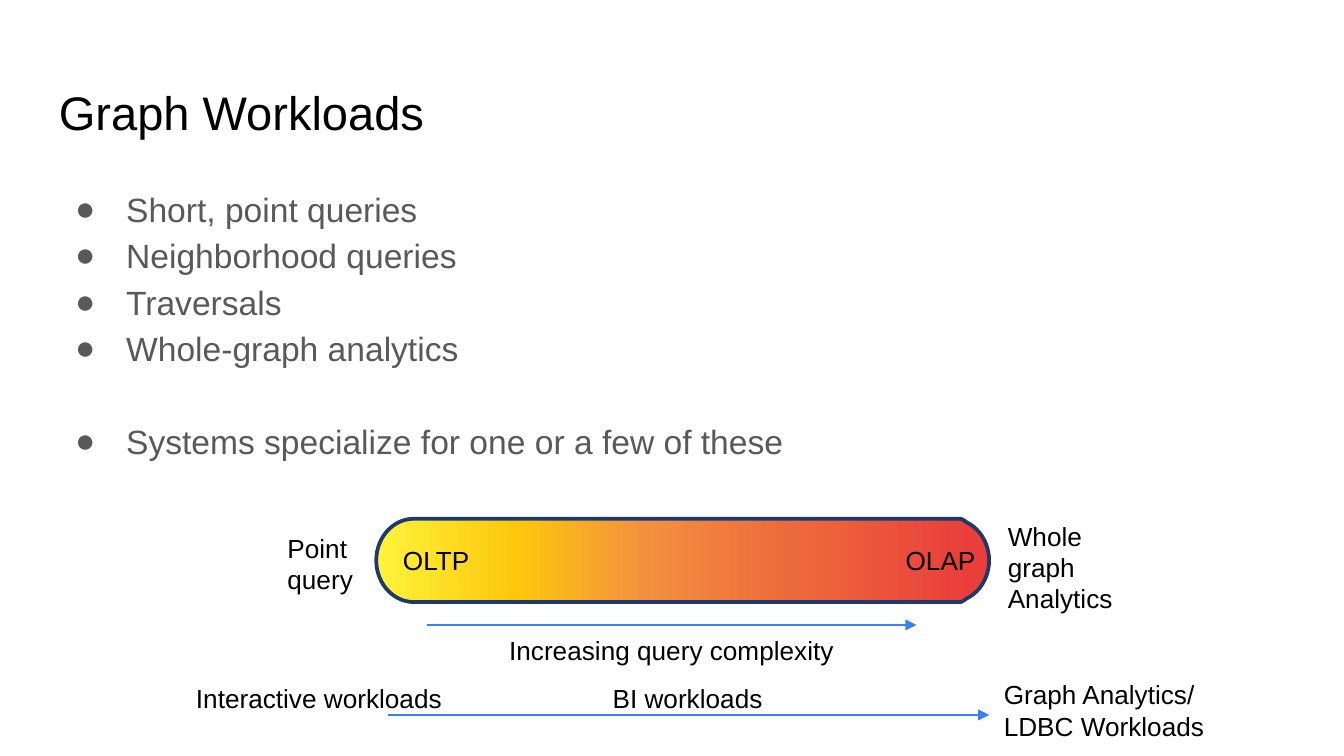
import math
from lxml import etree
from pptx import Presentation
from pptx import util as u
from pptx.dml import color
from pptx.enum import shapes, text
from pptx.oxml import ns

PX = 9144
THEME = {
    "font": "Arial",
    "title": ("000000", 25.2),
    "body": ("595959", 18),
    "label": ("000000", 14),
    "arrow": "3C81F3",
    "outline": "1D3A6B",
    "spectrum": [(0, "FFF33B"), (23, "FDC70C"), (44, "F3903F"), (69, "ED683C"), (97, "E93E3A")],
}

deck = Presentation()
deck.slide_width = 1000 * PX
deck.slide_height = deck.slide_width * 9 // 16
slide = deck.slides.add_slide(deck.slide_layouts[6])


def add_box(left, top, width, height, inset=5, wrap=True):
    frame = slide.shapes.add_textbox(left * PX, top * PX, width * PX, height * PX).text_frame
    frame.word_wrap = wrap
    frame.margin_top = frame.margin_bottom = inset * PX
    frame.margin_left = frame.margin_right = 10 * PX
    return frame


def add_run(paragraph, words, role):
    run = paragraph.add_run()
    run.text = words
    tint, size = THEME[role]
    run.font.name = THEME["font"]
    run.font.size = u.Pt(size)
    run.font.color.rgb = color.RGBColor.from_string(tint)


heading = add_box(34, 52, 932, 62, inset=10)
heading.vertical_anchor = text.MSO_ANCHOR.BOTTOM
add_run(heading.paragraphs[0], "Graph Workloads", "title")

workloads = [
    ("Short, point queries", 0),
    ("Neighborhood queries", 0),
    ("Traversals", 0),
    ("Whole-graph analytics", 0),
    ("Systems specialize for one or a few of these", 25),
]
body = add_box(34, 126, 932, 374, inset=10)
for i, (words, gap) in enumerate(workloads):
    point = body.paragraphs[0] if i == 0 else body.add_paragraph()
    point.line_spacing = 1.15
    if gap:
        point.space_before = u.Pt(gap)
    props = point._p.get_or_add_pPr()
    props.set("marL", str(50 * PX))
    props.set("indent", str(-38 * PX))
    tint = etree.SubElement(props, ns.qn("a:buClr"))
    etree.SubElement(tint, ns.qn("a:srgbClr"), val=THEME["body"][0])
    etree.SubElement(props, ns.qn("a:buFont"), typeface=THEME["font"])
    etree.SubElement(props, ns.qn("a:buChar"), char="●")
    add_run(point, words, "body")

MIDDLE, RX, RY = 417, 28, 31
right_cap = [(708 + RX * math.cos(a), MIDDLE + RY * math.sin(a))
             for a in (math.radians(d) for d in range(-66, 67, 6))]
left_cap = [(308 + RX * math.cos(a), MIDDLE + RY * math.sin(a))
            for a in (math.radians(d) for d in range(90, 271, 6))]
outline = [(715, 386), (717, 387), *right_cap, (717, 447), (715, 448), *left_cap]
pen = slide.shapes.build_freeform(outline[0][0] * PX, outline[0][1] * PX)
pen.add_line_segments([(x * PX, y * PX) for x, y in outline[1:]], close=True)
spectrum = pen.convert_to_shape()
spectrum.shadow.inherit = False
spectrum.fill.gradient()
spectrum.fill.gradient_angle = 0
stops = spectrum._element.spPr.find(".//" + ns.qn("a:gsLst"))
for stop in list(stops):
    stops.remove(stop)
for percent, tint in THEME["spectrum"]:
    stop = etree.SubElement(stops, ns.qn("a:gs"), pos=str(percent * 1000))
    etree.SubElement(stop, ns.qn("a:srgbClr"), val=tint)
spectrum.line.color.rgb = color.RGBColor.from_string(THEME["outline"])
spectrum.line.width = u.Pt(2)

for start, end, y in [(318, 682, 465), (289, 736, 532)]:
    arrow = slide.shapes.add_connector(shapes.MSO_CONNECTOR.STRAIGHT, start * PX, y * PX, end * PX, y * PX)
    arrow.line.color.rgb = color.RGBColor.from_string(THEME["arrow"])
    arrow.line.width = u.Pt(1.5)
    etree.SubElement(arrow.line._get_or_add_ln(), ns.qn("a:tailEnd"), type="triangle")
    etree.SubElement(arrow._element.spPr, ns.qn("a:effectLst"))

labels = [
    (204, 391, 69, 57, False, ["Point", "query"]),
    (740, 382, 112, 81, True, ["Whole graph", "Analytics"]),
    (369, 467, 263, 34, False, ["Increasing query complexity"]),
    (136, 503, 204, 34, False, ["Interactive workloads"]),
    (446, 503, 132, 34, False, ["BI workloads"]),
    (737, 500, 171, 57, False, ["Graph Analytics/", "LDBC Workloads"]),
    (290, 400, 71, 34, False, ["OLTP"]),
    (664, 400, 73, 34, False, ["OLAP"]),
]
for left, top, width, height, wrap, lines in labels:
    label = add_box(left, top, width, height, wrap=wrap).paragraphs[0]
    for i, words in enumerate(lines):
        if i:
            label.add_line_break()
        add_run(label, words, "label")

deck.save("out.pptx")
